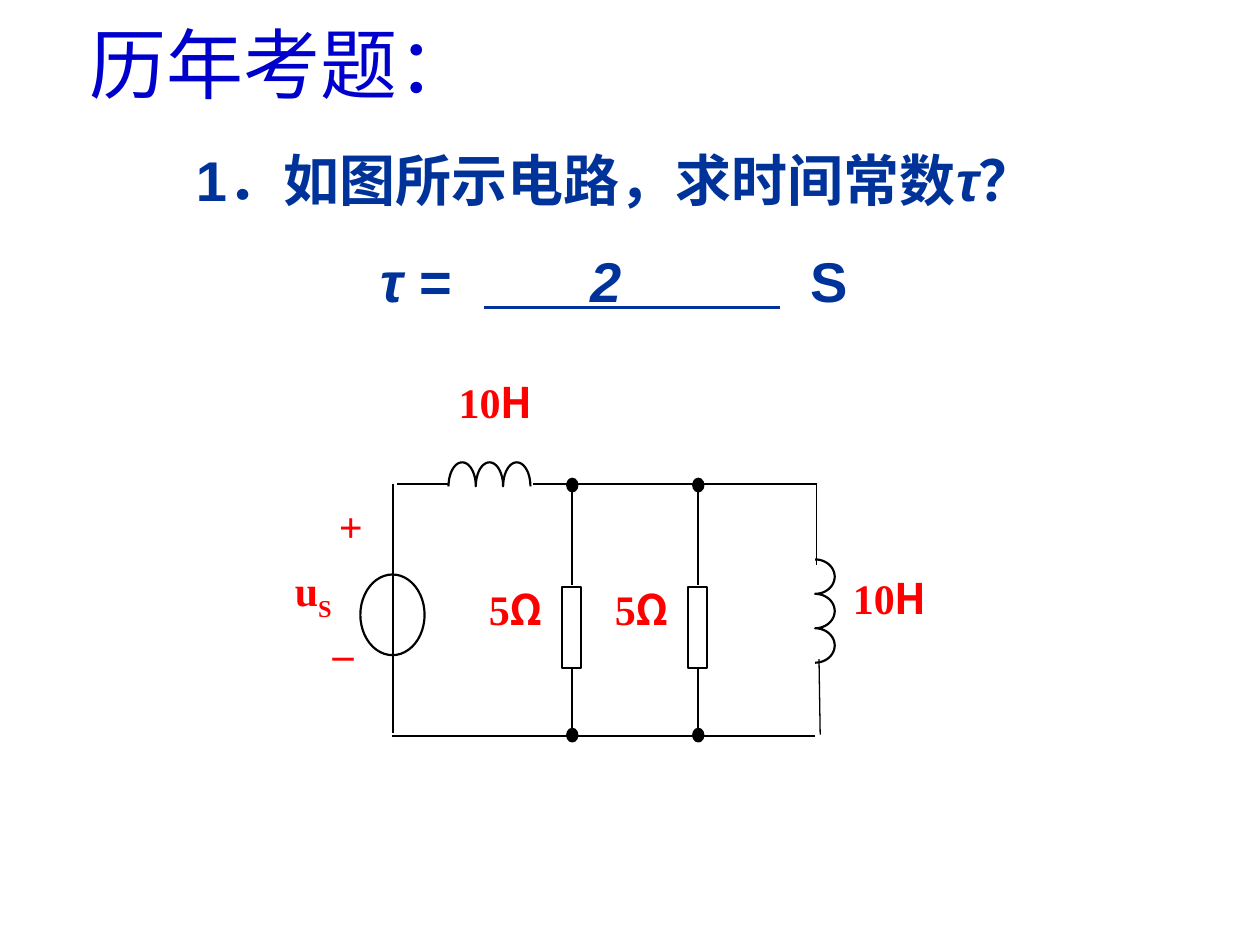
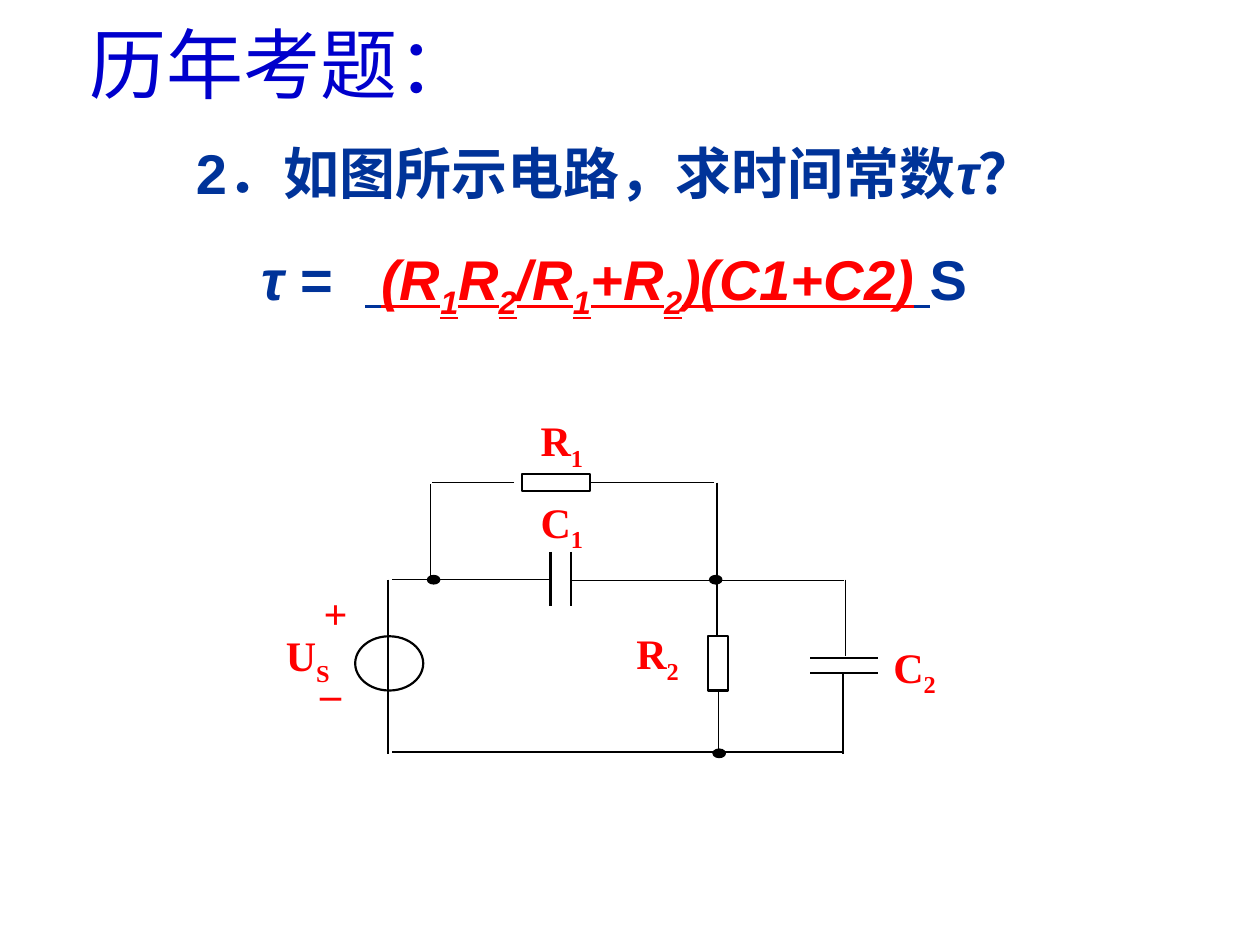
from dataclasses import dataclass, field
from math import cos, pi, sin

from lxml.etree import SubElement
from pptx import Presentation
from pptx.dml.color import RGBColor
from pptx.enum.shapes import MSO_CONNECTOR, MSO_SHAPE
from pptx.enum.text import MSO_ANCHOR, MSO_AUTO_SIZE, PP_ALIGN
from pptx.oxml.ns import qn
from pptx.util import Pt

NAVY, BLUE, RED, BLACK, WHITE = "003399", "0000CC", "FF0000", "000000", "FFFFFF"
THIN, MEDIUM, THICK = 0.75, 1, 1.25
SYMBOL_FONT = "Noto Sans CJK SC"
INSET = 7.2

HEADING_FORMAT = dict(name="Arial", size=Pt(44))
QUESTION_FORMAT = dict(name="Arial", size=Pt(32), bold=True)
LABEL_FORMAT = dict(name="Times New Roman", size=Pt(24), bold=True)


@dataclass
class Piece:
    text: str
    format: dict = field(default_factory=dict)
    color: str = ""
    subscript: bool = False


@dataclass
class Wire:
    x1: float
    y1: float
    x2: float
    y2: float
    weight: float = THIN


@dataclass
class Part:
    kind: MSO_SHAPE
    left: float
    top: float
    width: float
    height: float
    fill: str = ""
    weight: float = THICK


@dataclass
class Label:
    left: float
    top: float
    width: float
    height: float
    main: str
    subscript: str = ""
    symbol: str = ""


@dataclass
class Coil:
    x: float
    y: float
    length: float
    bulge: float
    vertical: bool = False
    humps: int = 3


@dataclass
class Problem:
    number: int
    answer: list[Piece]
    tabs: list[float]
    circuit: list


def rgb(color: str) -> RGBColor:
    return RGBColor.from_string(color)


def add_pieces(paragraph, pieces: list[Piece], base: dict, color: str) -> None:
    for piece in pieces:
        run = paragraph.add_run()
        run.text = piece.text
        for name, value in (base | piece.format).items():
            setattr(run.font, name, value)
        run.font.color.rgb = rgb(piece.color or color)
        if piece.subscript:
            run._r.get_or_add_rPr().set("baseline", "-25000")


def add_frame(slide, left: float, top: float, width: float, height: float, **settings):
    frame = slide.shapes.add_textbox(Pt(left), Pt(top), Pt(width), Pt(height)).text_frame
    for name, value in settings.items():
        setattr(frame, name, value)
    return frame


def add_label(slide, label: Label) -> None:
    margins = {f"margin_{side}": 0 for side in ("left", "top", "right", "bottom")}
    frame = add_frame(slide, label.left, label.top, label.width, label.height,
                      word_wrap=True, **margins)
    pieces = [Piece(label.main)]
    if label.subscript:
        pieces.append(Piece(label.subscript, subscript=True))
    if label.symbol:
        pieces.append(Piece(label.symbol, dict(name=SYMBOL_FONT)))
    paragraph = frame.paragraphs[0]
    paragraph.alignment = PP_ALIGN.JUSTIFY
    add_pieces(paragraph, pieces, LABEL_FORMAT, RED)


def add_wire(slide, wire: Wire, color: str = BLACK) -> None:
    connector = slide.shapes.add_connector(
        MSO_CONNECTOR.STRAIGHT, Pt(wire.x1), Pt(wire.y1), Pt(wire.x2), Pt(wire.y2))
    connector.line.color.rgb = rgb(color)
    connector.line.width = Pt(wire.weight)
    SubElement(connector._element.spPr, qn("a:effectLst"))


def style_outline(shape, fill: str, weight: float) -> None:
    shape.shadow.inherit = False
    if fill:
        shape.fill.solid()
        shape.fill.fore_color.rgb = rgb(fill)
    else:
        shape.fill.background()
    shape.line.color.rgb = rgb(BLACK)
    shape.line.width = Pt(weight)


def add_part(slide, part: Part) -> None:
    shape = slide.shapes.add_shape(
        part.kind, Pt(part.left), Pt(part.top), Pt(part.width), Pt(part.height))
    style_outline(shape, part.fill, part.weight)


def add_coil(slide, coil: Coil) -> None:
    radius = coil.length / coil.humps / 2
    steps = 24
    points = []
    for hump in range(coil.humps):
        for step in range(steps + 1):
            angle = pi * step / steps
            along = radius * (2 * hump + 1 - cos(angle))
            out = coil.bulge * sin(angle)
            x, y = (out, along) if coil.vertical else (along, -out)
            points.append((Pt(coil.x + x), Pt(coil.y + y)))
    builder = slide.shapes.build_freeform(*points[0])
    builder.add_line_segments(points[1:], close=False)
    style_outline(builder.convert_to_shape(), "", THICK)


DRAWERS = {Wire: add_wire, Part: add_part, Label: add_label, Coil: add_coil}


def dot(x: float, y: float, width: float, height: float, weight: float) -> Part:
    return Part(MSO_SHAPE.FLOWCHART_CONNECTOR, x - width / 2, y - height / 2,
                width, height, BLACK, weight)


def resistor_branch(x: float) -> list:
    return [
        Part(MSO_SHAPE.RECTANGLE, x - 5.8, 335.5, 10.8, 46.1),
        Wire(x, 276.5, x, 334.1),
        Wire(x, 380.9, x, 420.5),
        Label(x - 47.5, 333.4, 44.6, 41.8, "5", symbol="Ω"),
        dot(x + 0.1, 277.2, 5.8, 7.2, THICK),
        dot(x + 0.1, 420.1, 5.8, 7.2, THICK),
    ]


def add_heading(slide) -> None:
    frame = add_frame(slide, 43.9, 5.8, 234.7, 60.5, word_wrap=False,
                      auto_size=MSO_AUTO_SIZE.SHAPE_TO_FIT_TEXT)
    add_pieces(frame.paragraphs[0], [Piece("历年考题：")], HEADING_FORMAT, BLUE)


def add_question(slide, problem: Problem) -> None:
    frame = add_frame(slide, 0, 103.7, 703.4, 36, word_wrap=True,
                      vertical_anchor=MSO_ANCHOR.MIDDLE)
    question, answer = frame.paragraphs[0], frame.add_paragraph()
    question.alignment, answer.alignment = PP_ALIGN.CENTER, PP_ALIGN.LEFT
    question.line_spacing = answer.line_spacing = 1.5
    stops = SubElement(answer._p.get_or_add_pPr(), qn("a:tabLst"))
    for position in problem.tabs:
        SubElement(stops, qn("a:tab"), pos=str(Pt(position - INSET)), algn="l")
    add_pieces(question, [Piece(f"{problem.number}．如图所示电路，求时间常数"),
                          Piece("τ", ITALIC), Piece("？")], QUESTION_FORMAT, NAVY)
    add_pieces(answer, [Piece("\tτ =\t", ITALIC), *problem.answer], QUESTION_FORMAT, NAVY)


ITALIC = dict(italic=True)
UNDERLINED = dict(italic=True, underline=True)

RL_CIRCUIT = [
    Wire(224.6, 276.5, 224.6, 419),
    Part(MSO_SHAPE.OVAL, 205.9, 328.3, 36.7, 46.1),
    Label(193.7, 285.8, 22.3, 36.7, "+"),
    Label(190.1, 358.6, 25.9, 33.1, "–"),
    Label(168.5, 322.6, 34.6, 49, "u", "S"),
    Coil(465.8, 319.7, 59, 11.2, vertical=True),
    Wire(466.6, 322.6, 466.6, 276.5),
    Wire(468.7, 419.8, 468, 376.6),
    Coil(256.3, 277.9, 46.8, 13.7),
    Wire(466.6, 276.5, 304.6, 276.5),
    Wire(256.3, 276.5, 226.8, 276.5),
    Wire(465.8, 420.5, 223.9, 420.5),
    *resistor_branch(398.9),
    *resistor_branch(326.9),
    Label(262.1, 215.3, 47.5, 46.1, "10", symbol="H"),
    Label(487.4, 326.9, 47.5, 46.1, "10", symbol="H"),
]

RC_CIRCUIT = [
    Wire(408.2, 275.8, 337.7, 275.8),
    Part(MSO_SHAPE.RECTANGLE, 404.6, 363.6, 11.5, 31),
    Wire(409.7, 275.8, 409.7, 362.9),
    Wire(410.4, 394.6, 410.4, 432),
    Part(MSO_SHAPE.RECTANGLE, 298.4, 271.1, 38.9, 9.4),
    Label(163.4, 360, 39.6, 31, "U", "S"),
    Label(185, 335.5, 23.8, 24.5, "+"),
    Label(182.9, 381.6, 27.4, 22.3, "–"),
    Label(308.9, 283.7, 35.3, 31, "C", "1"),
    *[Wire(463, y, 501.8, y, THICK) for y in (375.8, 384.5)],
    *[Wire(x, 315.4, x, 346.3, THICK) for x in (326.2, 314.6)],
    Part(MSO_SHAPE.OVAL, 203, 363.6, 38.9, 31, WHITE),
    Wire(313.9, 331.2, 223.9, 331.2),
    Wire(482.4, 331.9, 326.2, 331.9),
    Wire(483.1, 331.2, 483.1, 375.1),
    Wire(481.7, 384.5, 481.7, 430.6),
    Wire(221.8, 331.2, 221.8, 430.6),
    Wire(482.4, 429.8, 223.9, 429.8),
    Label(308.9, 236.9, 31.7, 31, "R", "1"),
    Label(510.5, 366.5, 32.4, 31, "C", "2"),
    Wire(293.8, 275.8, 247, 275.8),
    Wire(246.2, 276.5, 246.2, 331.9),
    Label(363.6, 358.6, 31.7, 31, "R", "2"),
    *[dot(x, y, 6.8, 4.6, MEDIUM)
      for x, y in ((409, 331.3), (247.8, 331.3), (411, 430.5))],
]

FORMULA = [Piece(text, UNDERLINED, RED, text in ("1", "2"))
           for text in ("(R", "1", "R", "2", "/R", "1", "+R", "2", ")(C1+C2)")]
BLANK_EDGE = Piece(" ", UNDERLINED)

PROBLEMS = [
    Problem(1, [Piece("2\t", ITALIC), Piece("S")], [217.5, 337.5, 463], RL_CIRCUIT),
    Problem(2, [BLANK_EDGE, *FORMULA, BLANK_EDGE, Piece("S")], [149.5, 209], RC_CIRCUIT),
]
ANSWER_BLANK = Wire(276.6, 176, 445.7, 176, 1.7)


def main() -> None:
    deck = Presentation()
    deck.slide_width, deck.slide_height = Pt(720), Pt(540)
    for problem in PROBLEMS:
        slide = deck.slides.add_slide(deck.slide_layouts[6])
        add_question(slide, problem)
        if problem.number == 1:
            add_wire(slide, ANSWER_BLANK, NAVY)
        for item in problem.circuit:
            DRAWERS[type(item)](slide, item)
        add_heading(slide)
    deck.save("out.pptx")


if __name__ == "__main__":
    main()
